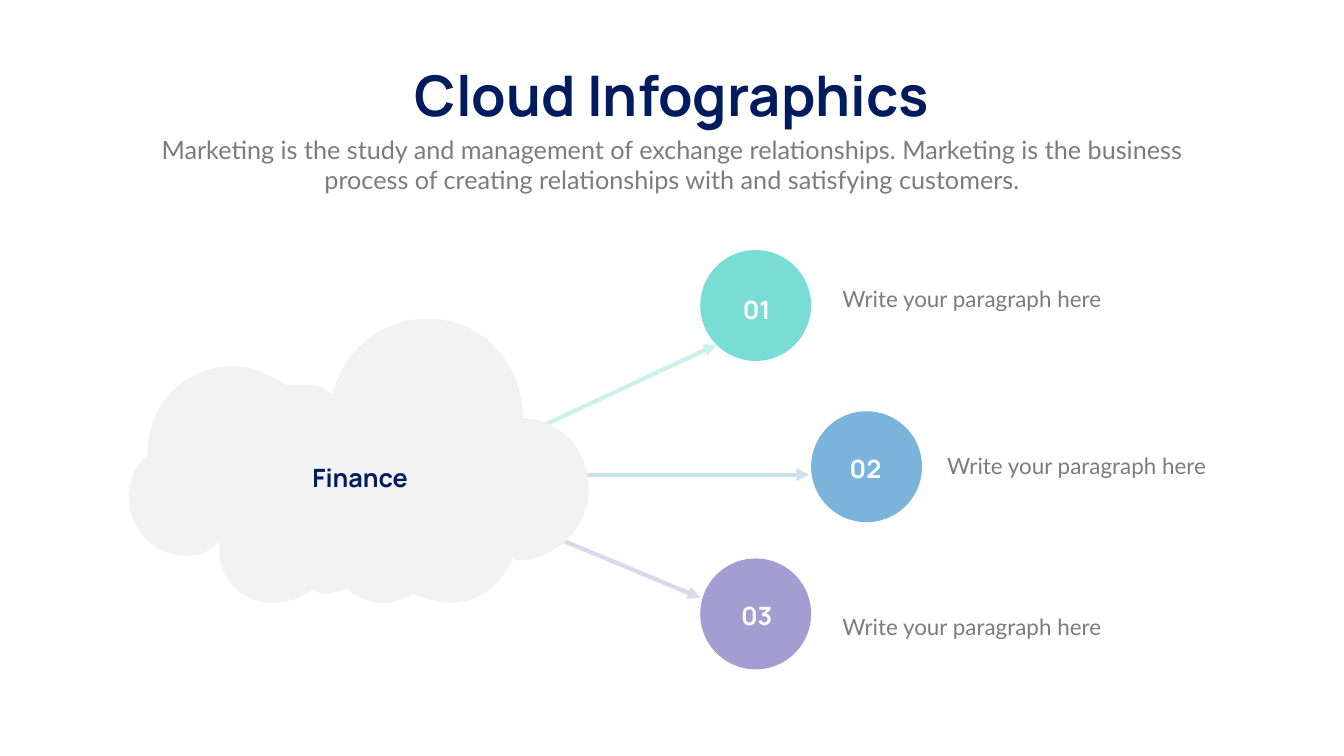
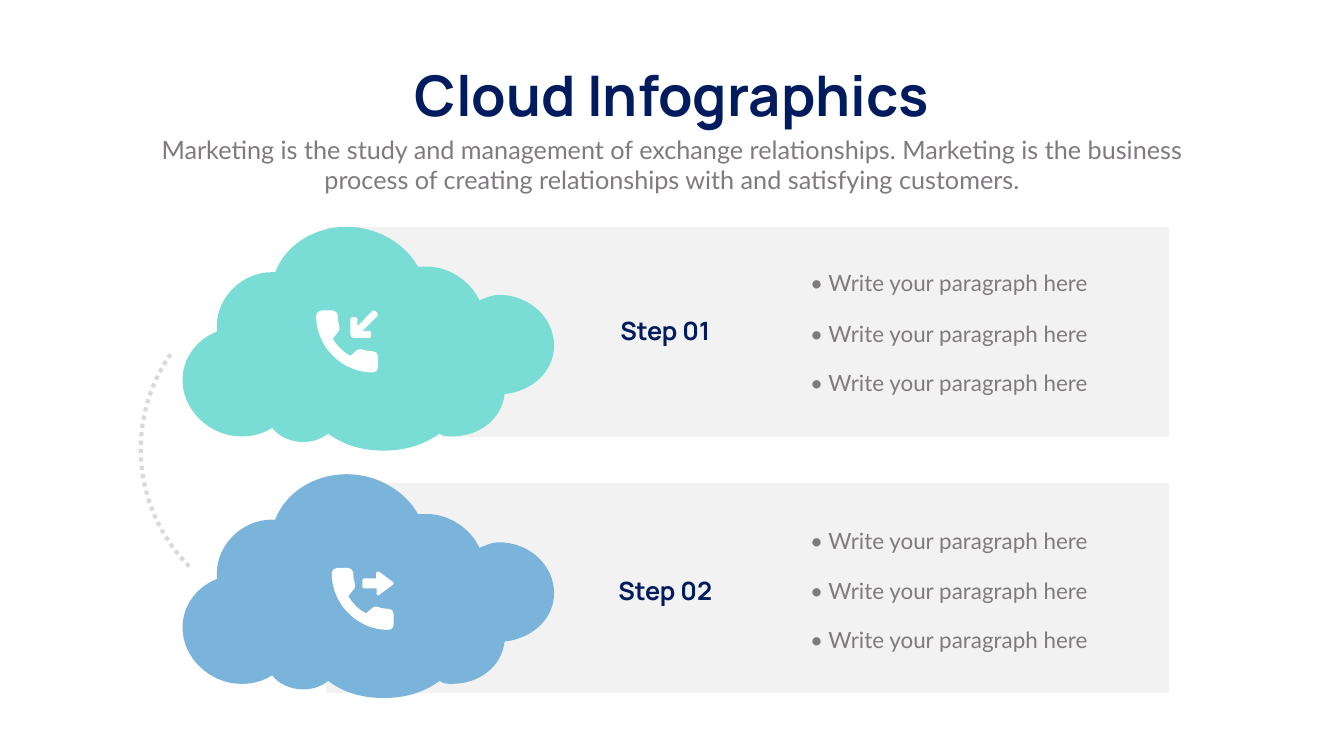
import lxml.etree
import pptx
import pptx.dml.color
import pptx.enum.dml
import pptx.enum.shapes
import pptx.enum.text
import pptx.oxml.ns
import pptx.util

RGBColor = pptx.dml.color.RGBColor
NAVY = RGBColor(0x00, 0x1C, 0x5E)
GREY = RGBColor(0x7F, 0x7A, 0x7E)
WHITE = RGBColor(0xFF, 0xFF, 0xFF)
PALE_GREY = RGBColor(0xF2, 0xF2, 0xF2)
DOT_GREY = RGBColor(0xD9, 0xD9, 0xD9)
TEAL = RGBColor(0x7A, 0xDD, 0xD5)
BLUE = RGBColor(0x7B, 0xB4, 0xDA)
PURPLE = RGBColor(0xA4, 0x9D, 0xD2)
PALE_TEAL = RGBColor(0xCA, 0xF1, 0xEE)
PALE_BLUE = RGBColor(0xCA, 0xE1, 0xF0)
PALE_PURPLE = RGBColor(0xDB, 0xD8, 0xED)

HEADING_FONT = "Manrope"
BODY_FONT = "Lato"
LEFT = pptx.enum.text.PP_ALIGN.LEFT
CENTER = pptx.enum.text.PP_ALIGN.CENTER
SHAPES = pptx.enum.shapes.MSO_SHAPE

# The slide is a grid of 100 columns by 100 rows.
SLIDE_WIDTH = pptx.util.Inches(26.66)
SLIDE_HEIGHT = pptx.util.Inches(15)
COLUMN = SLIDE_WIDTH / 100
ROW = SLIDE_HEIGHT / 100
LINE_WIDTH = pptx.util.Pt(6)
BULLET_OFFSETS = (0, 6.67, 13.13)

# Outlines are in hundredths of an inch from their own top left corner:
# the start, then lines (x, y) and cubic curves (x1, y1, x2, y2, x, y).
OUTLINE_UNIT = pptx.util.Inches(0.01)
WIDE_CLOUD = [
    (781, 198), (781, 85, 696, 0, 593, 0), (498, 0, 423, 66, 404, 151),
    (385, 132, 367, 132, 338, 132), (329, 132, 320, 132, 310, 132),
    (282, 113, 245, 94, 207, 94), (113, 94, 37, 169, 37, 263),
    (37, 263, 37, 263, 37, 273), (9, 292, 0, 320, 0, 358),
    (0, 414, 47, 471, 113, 471), (141, 471, 160, 461, 179, 442),
    (179, 451, 179, 451, 179, 461),
    (179, 517, 226, 564, 282, 564), (320, 564, 338, 555, 367, 536),
    (367, 546, 385, 546, 395, 546), (404, 546, 423, 536, 433, 536),
    (451, 555, 480, 564, 508, 564), (527, 564, 546, 555, 564, 546),
    (583, 555, 611, 564, 639, 564), (696, 564, 743, 527, 762, 471),
    (762, 480, 772, 480, 772, 480), (846, 480, 912, 414, 912, 338),
    (912, 263, 856, 198, 781, 198),
]
STEP_CLOUD = [
    (737, 236), (737, 180, 688, 135, 627, 135), (614, 135, 602, 141, 589, 146),
    (571, 107, 528, 79, 485, 79), (479, 79, 473, 79, 467, 79),
    (442, 34, 387, 0, 326, 0), (258, 0, 203, 39, 184, 90), (178, 90),
    (117, 90, 68, 141, 68, 197), (68, 202, 68, 202, 68, 208),
    (25, 225, 0, 264, 0, 304), (0, 365, 55, 416, 117, 416),
    (141, 416, 160, 410, 178, 399), (190, 416, 215, 427, 239, 427),
    (258, 427, 276, 421, 289, 410), (319, 433, 356, 444, 399, 444),
    (442, 444, 479, 433, 510, 410), (516, 416, 528, 416, 534, 416),
    (589, 416, 633, 382, 639, 332), (694, 326, 737, 287, 737, 236),
]
HANDSET = [
    (113, 81), (106, 81, 98, 80, 91, 77), (88, 76, 84, 77, 81, 79), (68, 90),
    (52, 81, 42, 71, 33, 56), (44, 42), (47, 39, 47, 36, 46, 32),
    (44, 25, 43, 18, 43, 10), (43, 5, 38, 0, 33, 0), (10, 0),
    (5, 0, 0, 5, 0, 10), (0, 72, 51, 123, 113, 123),
    (118, 123, 123, 119, 123, 113), (123, 91), (123, 85, 118, 81, 113, 81),
]
INCOMING_ARROW = [
    (7, 54), (38, 54), (40, 54, 41, 52, 41, 50), (41, 44),
    (41, 42, 40, 40, 38, 40), (24, 40), (54, 10), (55, 9, 55, 7, 54, 5),
    (49, 0), (48, 0, 46, 0, 44, 0), (14, 31), (14, 16),
    (14, 15, 13, 13, 11, 13), (4, 13), (2, 13, 0, 15, 0, 16), (0, 47),
    (0, 51, 3, 54, 7, 54),
]
OUTGOING_ARROW = [
    (4, 33), (28, 33), (28, 44), (28, 45, 28, 46, 29, 47),
    (30, 47, 30, 47, 31, 47), (32, 47, 32, 47, 33, 46), (60, 26),
    (61, 25, 62, 24, 62, 23), (62, 22, 61, 21, 60, 20), (33, 0),
    (32, 0, 31, 0, 29, 0), (28, 0, 27, 1, 27, 3), (27, 13), (4, 13),
    (2, 13, 0, 14, 0, 16), (0, 30), (0, 32, 2, 33, 4, 33),
]


def grid_box(left, top, width, height):
    """Turn columns and rows into EMU."""
    return (round(left * COLUMN), round(top * ROW),
            round(width * COLUMN), round(height * ROW))


def paint(shape, color):
    shape.shadow.inherit = False
    shape.fill.solid()
    shape.fill.fore_color.rgb = color
    shape.line.fill.background()


def add_filled(slide, kind, box, color):
    paint(slide.shapes.add_shape(kind, *grid_box(*box)), color)


def add_text(slide, text, box, size, font, color, align=LEFT, wrap=True):
    text_frame = slide.shapes.add_textbox(*grid_box(*box)).text_frame
    text_frame.text = text
    text_frame.word_wrap = wrap
    text_frame.auto_size = pptx.enum.text.MSO_AUTO_SIZE.SHAPE_TO_FIT_TEXT
    paragraph = text_frame.paragraphs[0]
    paragraph.alignment = align
    run_font = paragraph.runs[0].font
    run_font.name = font
    run_font.size = pptx.util.Pt(size)
    run_font.bold = font == HEADING_FONT
    run_font.color.rgb = color


def add_heading(slide, text, left, top, width=12.12, color=NAVY):
    add_text(slide, text, (left, top, width, 4.73), 36, HEADING_FONT, color, CENTER)


def add_body(slide, text, left, top, width):
    add_text(slide, text, (left, top, width, 4.27), 32, BODY_FONT, GREY)


def add_arrow(slide, start, end, color):
    connector = slide.shapes.add_connector(
        pptx.enum.shapes.MSO_CONNECTOR.STRAIGHT, *grid_box(*start, *end))
    connector.line.color.rgb = color
    connector.line.width = LINE_WIDTH
    tail = lxml.etree.SubElement(
        connector.line._get_or_add_ln(), pptx.oxml.ns.qn("a:tailEnd"))
    tail.set("type", "triangle")
    lxml.etree.SubElement(
        connector._element.spPr, pptx.oxml.ns.qn("a:effectLst"))


def add_outline(slide, outline, left, top, color):
    """Draw the outline's end points, then bend the lines that are curves."""
    builder = slide.shapes.build_freeform(*outline[0], scale=OUTLINE_UNIT)
    builder.add_line_segments([segment[-2:] for segment in outline[1:]], close=True)
    shape = builder.convert_to_shape(round(left * COLUMN), round(top * ROW))
    lines = list(shape._element.iter(pptx.oxml.ns.qn("a:lnTo")))
    for line, segment in zip(lines, outline[1:]):
        if len(segment) == 6:
            line.tag = pptx.oxml.ns.qn("a:cubicBezTo")
            for index in range(2):
                control = lxml.etree.Element(pptx.oxml.ns.qn("a:pt"))
                control.set("x", str(segment[2 * index]))
                control.set("y", str(segment[2 * index + 1]))
                line.insert(index, control)
    paint(shape, color)


def add_dotted_arc(slide):
    arc = slide.shapes.add_shape(SHAPES.ARC, *grid_box(10.47, 37.47, 24.68, 43.87))
    arc.shadow.inherit = False
    arc.adjustments[0] = 162
    arc.adjustments[1] = 209.92
    arc.rotation = 225
    arc.fill.background()
    arc.line.color.rgb = DOT_GREY
    arc.line.width = LINE_WIDTH
    arc.line.dash_style = pptx.enum.dml.MSO_LINE.ROUND_DOT


def add_titled_slide(presentation):
    slide = presentation.slides.add_slide(presentation.slide_layouts[6])
    add_text(slide, "Cloud Infographics", (28.95, 7.63, 42.12, 9.67),
             80, HEADING_FONT, NAVY, CENTER, wrap=False)
    add_text(slide, "Marketing is the study and management of exchange relationships. "
             "Marketing is the business process of creating relationships with "
             "and satisfying customers.",
             (10.95, 17.4, 78.09, 8.73), 36, BODY_FONT, GREY, CENTER)
    return slide


def add_branch(slide, number, circle, number_at, label_at, color):
    add_filled(slide, SHAPES.OVAL, (*circle, 8.25, 14.67), color)
    add_heading(slide, number, *number_at, width=7.88, color=WHITE)
    add_body(slide, "Write your paragraph here", *label_at, 20.48)


def add_finance_slide(presentation):
    slide = add_titled_slide(presentation)
    add_branch(slide, "01", (52.1, 33.07), (52.36, 38.6), (62.3, 37.33), TEAL)
    add_branch(slide, "02", (60.35, 54.4), (60.46, 59.67), (70.1, 59.47), BLUE)
    add_branch(slide, "03", (52.1, 73.87), (52.36, 79.13), (62.3, 80.8), PURPLE)
    add_arrow(slide, (32.82, 62.6), (53.3, 45.6), PALE_TEAL)
    add_arrow(slide, (32.82, 64.8), (52.1, 79.07), PALE_PURPLE)
    add_arrow(slide, (32.86, 62.8), (60.2, 62.8), PALE_BLUE)
    add_outline(slide, WIDE_CLOUD, 9.6, 42.13, PALE_GREY)
    add_heading(slide, "Finance", 20.74, 60.87)


def add_step(slide, name, panel_top, cloud_top, name_top, first_bullet_top, color):
    add_filled(slide, SHAPES.RECTANGLE, (24.27, panel_top, 62.72, 27.8), PALE_GREY)
    add_outline(slide, STEP_CLOUD, 13.58, cloud_top, color)
    add_heading(slide, name, 43.43, name_top)
    for offset in BULLET_OFFSETS:
        add_body(slide, "• Write your paragraph here",
                 59.9, first_bullet_top + offset, 22.77)


def add_steps_slide(presentation):
    slide = add_titled_slide(presentation)
    add_dotted_arc(slide)
    add_step(slide, "Step 01", 30, 30, 41.33, 35.33, TEAL)
    add_step(slide, "Step 02", 63.87, 62.73, 75.8, 69.4, BLUE)
    for outline, left, top in [(INCOMING_ARROW, 26.07, 41.1), (HANDSET, 23.52, 41.07),
                               (OUTGOING_ARROW, 26.97, 75.63), (HANDSET, 24.68, 75.13)]:
        add_outline(slide, outline, left, top, WHITE)


def main():
    presentation = pptx.Presentation()
    presentation.slide_width = SLIDE_WIDTH
    presentation.slide_height = SLIDE_HEIGHT
    add_finance_slide(presentation)
    add_steps_slide(presentation)
    presentation.save("out.pptx")


if __name__ == "__main__":
    main()
